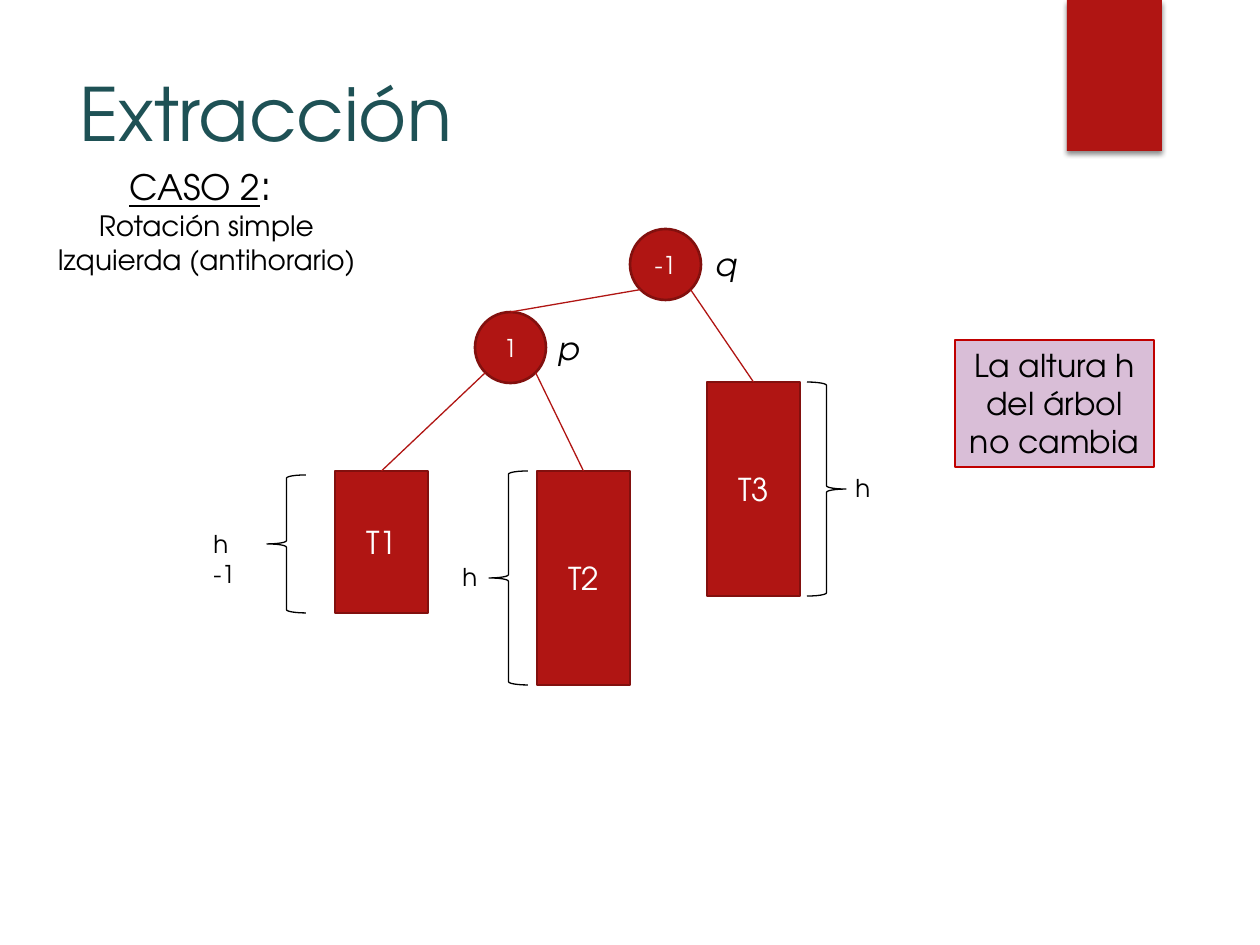
import pptx
import pptx.util
import pptx.dml.color
import pptx.enum.shapes
import pptx.enum.text
import pptx.oxml
import lxml.etree
import math

SHAPE = pptx.enum.shapes.MSO_SHAPE
ALIGN = pptx.enum.text.PP_ALIGN
ANCHOR = pptx.enum.text.MSO_ANCHOR
DRAWING = "http://schemas.openxmlformats.org/drawingml/2006/main"
FONT = "TeX Gyre Adventor"
RED, DARK_RED, TEAL = "B01513", "82100E", "1E5155"
BLACK, WHITE = "000000", "FFFFFF"
DIAMETER = 71
SUBTREE_WIDTH = 93
BRACE_WIDTH = 39

NODES = {"q": ("-1", 630, 229), "p": ("1", 475, 312)}
SUBTREES = {"T1": (335, 471, 142), "T2": (537, 471, 214), "T3": (707, 382, 214)}
EDGES = [("q", 1, "T3"), ("p", -1, "T1"), ("p", 1, "T2"), ("q", -1, "p")]
BRACES = [(267, 475, 138, 0), (489, 471, 214, 0), (807, 382, 214, 180)]
HEIGHT_LABELS = [("h -1", 201, 523, 68), ("h", 450, 556, 34), ("h", 843, 467, 34)]
NODE_LABELS = [("p", 546, 323), ("q", 703, 239)]
TITLE = [[("Extracción", {})]]
CASE = [
    [("CASO 2", {"size": 20, "underline": True}), (": ", {"size": 24})],
    [("Rotación simple", {})],
    [("Izquierda (antihorario)", {})],
]
NOTE = "La altura h del árbol no cambia"


def px(value):
    return pptx.util.Emu(round(value * 914400 / 126))


def color(value):
    return pptx.dml.color.RGBColor.from_string(value)


def write(shape, text, size=18, ink=BLACK, align=ALIGN.CENTER,
          anchor=ANCHOR.TOP, italic=False, wrap=True):
    frame = shape.text_frame
    frame.word_wrap = wrap
    frame.vertical_anchor = anchor
    lines = [[(text, {})]] if isinstance(text, str) else text
    for index, line in enumerate(lines):
        para = frame.add_paragraph() if index else frame.paragraphs[0]
        para.alignment = align
        for words, style in line:
            span = para.add_run()
            span.text = words
            span.font.name = FONT
            span.font.size = pptx.util.Pt(style.get("size", size))
            span.font.color.rgb = color(ink)
            span.font.italic = italic
            span.font.underline = style.get("underline", False)


def add_label(page, text, left, top, width, height, **style):
    box = page.shapes.add_textbox(px(left), px(top), px(width), px(height))
    write(box, text, **style)


def add_figure(page, kind, left, top, width, height, fill=None, line=None, weight=1.5):
    shape = page.shapes.add_shape(kind, px(left), px(top), px(width), px(height))
    shape.shadow.inherit = False
    if fill:
        shape.fill.solid()
        shape.fill.fore_color.rgb = color(fill)
    else:
        shape.fill.background()
    if line:
        shape.line.color.rgb = color(line)
        shape.line.width = pptx.util.Pt(weight)
    else:
        shape.line.fill.background()
    return shape


def add_banner(page):
    banner = add_figure(page, SHAPE.RECTANGLE, 1067, 0, 95, 151, RED)
    effects = banner._element.spPr.find(f"{{{DRAWING}}}effectLst")
    effects.append(pptx.oxml.parse_xml(
        f'<a:outerShdw xmlns:a="{DRAWING}" blurRad="38100" dist="25400" dir="5400000" '
        'rotWithShape="0"><a:srgbClr val="000000"><a:alpha val="45000"/>'
        '</a:srgbClr></a:outerShdw>'))


def add_edge(page, parent, side, child):
    reach = DIAMETER / 2 * math.sqrt(0.5)
    left, top = NODES[parent][1:]
    x = left + DIAMETER / 2 + side * reach
    y = top + DIAMETER / 2 + reach
    edge = page.shapes.add_connector(
        pptx.enum.shapes.MSO_CONNECTOR.STRAIGHT, px(x), px(y), px(x), px(y))
    edge.end_connect(child, 0)
    edge.line.color.rgb = color(RED)
    edge.line.width = pptx.util.Pt(0.75)
    lxml.etree.SubElement(edge._element.spPr, f"{{{DRAWING}}}effectLst")


def main():
    deck = pptx.Presentation()
    deck.slide_width, deck.slide_height = px(1260), px(945)
    page = deck.slides.add_slide(deck.slide_layouts[6])

    add_banner(page)
    add_label(page, TITLE, 67, 62, 973, 193, size=42, ink=TEAL, align=ALIGN.LEFT)
    add_label(page, CASE, -29, 152, 471, 131, size=16)

    tree = {}
    for name, (left, top, height) in SUBTREES.items():
        tree[name] = add_figure(page, SHAPE.RECTANGLE, left, top, SUBTREE_WIDTH, height,
                                RED, DARK_RED)
        write(tree[name], name, ink=WHITE, anchor=ANCHOR.MIDDLE)
    for name, (balance, left, top) in NODES.items():
        tree[name] = add_figure(page, SHAPE.OVAL, left, top, DIAMETER, DIAMETER,
                                RED, DARK_RED)
        write(tree[name], balance, size=14, ink=WHITE, anchor=ANCHOR.MIDDLE)
    for parent, side, child in EDGES:
        add_edge(page, parent, side, tree[child])

    for left, top, height, turn in BRACES:
        brace = add_figure(page, SHAPE.LEFT_BRACE, left, top, BRACE_WIDTH, height,
                           line=BLACK, weight=0.75)
        brace.rotation = turn
    for text, left, top, width in HEIGHT_LABELS:
        add_label(page, text, left, top, width, 43, size=14, align=ALIGN.LEFT)
    for text, left, top in NODE_LABELS:
        add_label(page, text, left, top, 40, 50, italic=True, wrap=False)

    note = add_figure(page, SHAPE.RECTANGLE, 955, 340, 199, 127, "D9BED7", "C00000", 0.75)
    write(note, NOTE)
    deck.save("out.pptx")


if __name__ == "__main__":
    main()
